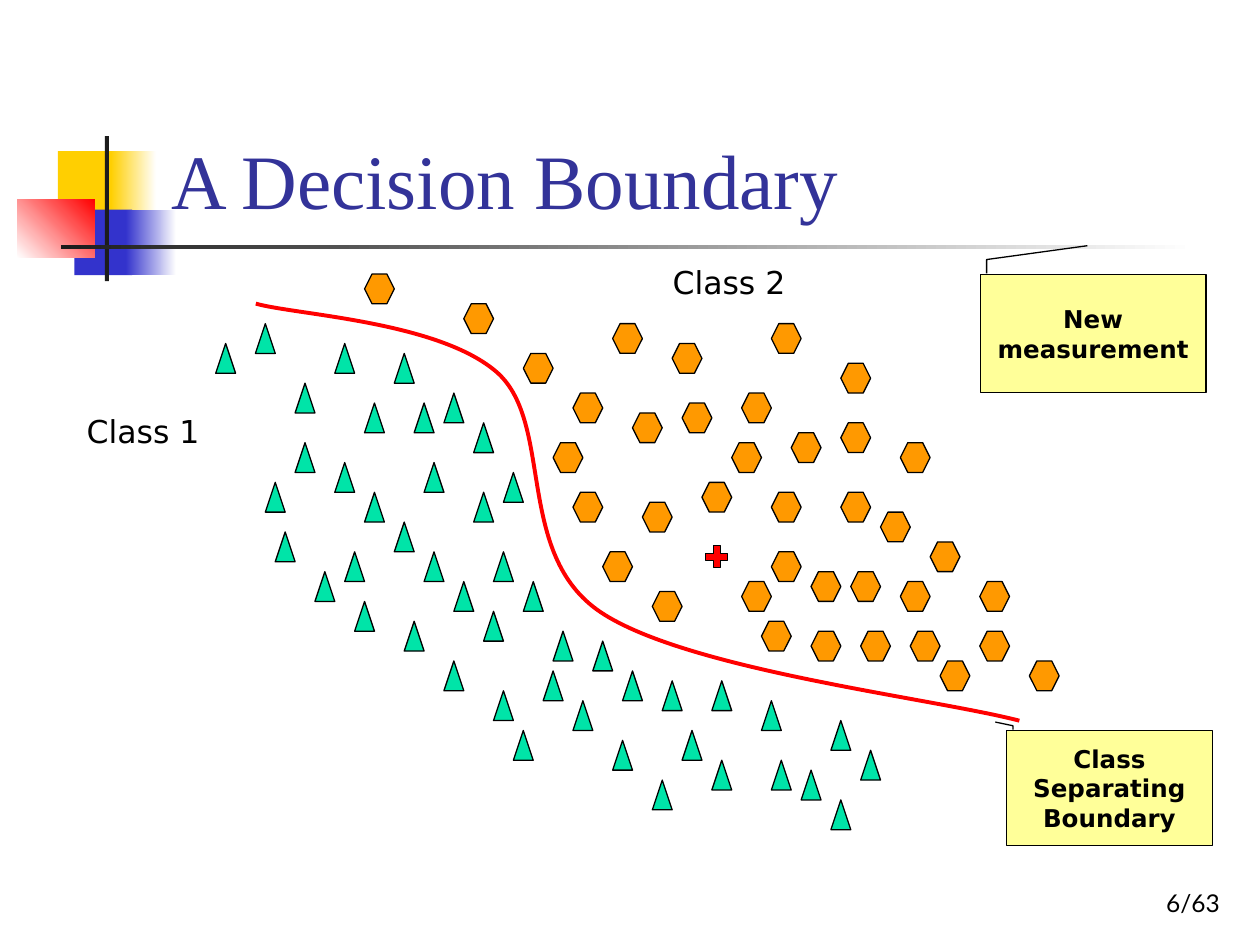
from dataclasses import dataclass

from lxml import etree
from pptx import Presentation
from pptx import util as u
from pptx.dml.color import RGBColor
from pptx.enum import shapes, text
from pptx.oxml import ns

Kind = shapes.MSO_SHAPE
Pt = u.Pt


@dataclass(frozen=True)
class Theme:
    ink: str = "000000"
    white: str = "FFFFFF"
    dark: str = "1C1C1C"
    gold: str = "FFCF01"
    blue: str = "3333CC"
    red: str = "FF0000"
    title: str = "333399"
    green: str = "00E4A8"
    amber: str = "FF9900"
    note: str = "FFFF99"
    serif: str = "Times New Roman"
    sans: str = "DejaVu Sans"
    foot: str = "Lato"
    big: int = 44
    mid: int = 18
    small: int = 14
    thin: float = 0.75
    bold: float = 2.25


T = Theme()

# Marks sit on a fine grid: left, top and step in points
LEFT, TOP, STEP = 123.3, 156.6, 5.67

# Column and row of each mark
CLASS1 = [
    (0, 7), (4, 5), (8, 11), (8, 17), (12, 19), (15, 22), (18, 25), (21, 28),
    (24, 31), (27, 34), (34, 36), (33, 40), (36, 43), (40, 47), (12, 7),
    (15, 13), (29, 20), (21, 19), (26, 22), (38, 37), (41, 40), (45, 41),
    (47, 46), (50, 49), (50, 41), (55, 43), (56, 49), (59, 50), (62, 53),
    (19, 35), (23, 39), (28, 42), (30, 46), (44, 51), (5, 21), (6, 26),
    (13, 28), (10, 30), (14, 33), (62, 45), (65, 48), (23, 12), (26, 15),
    (18, 8), (20, 13), (28, 28), (31, 31),
]
CLASS2 = [
    (15, 0), (25, 3), (31, 8), (36, 12), (42, 14), (49, 21), (52, 17),
    (56, 28), (53, 31), (60, 30), (65, 36), (43, 23), (34, 17), (55, 35),
    (40, 5), (46, 7), (47, 13), (64, 30), (69, 31), (70, 36), (73, 39),
    (72, 27), (77, 31), (77, 36), (82, 39), (53, 12), (58, 16), (63, 22),
    (67, 24), (56, 5), (63, 9), (63, 15), (69, 17), (44, 32), (39, 28),
    (36, 22), (56, 22), (60, 36),
]
NEW = [(49, 27)]

# Start point, then two handles and an end for each bend
CURVE = [
    (146.2, 173.5), (169.2, 180), (251.3, 183.6), (284.4, 213.1),
    (316.8, 242.6), (293.8, 316.8), (343.4, 349.9), (393.1, 383),
    (532.8, 398.9), (582.5, 411.8),
]


def color(code):
    return RGBColor.from_string(code)


def shape(slide, kind, box, fill, line=None):
    item = slide.shapes.add_shape(kind, *map(Pt, box))
    item.shadow.inherit = False
    item.fill.solid()
    item.fill.fore_color.rgb = color(fill)
    if line:
        item.line.color.rgb = color(line)
        item.line.width = Pt(T.thin)
    else:
        item.line.fill.background()
    return item


def fade(slide, box, start, end, angle=0):
    item = shape(slide, Kind.RECTANGLE, box, start)
    item.fill.gradient()
    item.fill.gradient_angle = angle
    for stop, code in zip(item.fill.gradient_stops, (start, end)):
        stop.color.rgb = color(code)


def write(item, words, font, size, code=T.ink, bold=False,
          align=text.PP_ALIGN.LEFT, anchor=text.MSO_ANCHOR.TOP):
    frame = item.text_frame
    frame.text = words
    frame.word_wrap = True
    frame.vertical_anchor = anchor
    for para in frame.paragraphs:
        para.alignment = align
        for run in para.runs:
            run.font.name = font
            run.font.size = Pt(size)
            run.font.bold = bold
            run.font.color.rgb = color(code)


def label(slide, box, *args, **style):
    write(slide.shapes.add_textbox(*map(Pt, box)), *args, **style)


def marks(slide, kind, cells, wide, code):
    for col, row in cells:
        box = (LEFT + col * STEP, TOP + row * STEP, wide * STEP, 3 * STEP)
        shape(slide, kind, box, code, T.ink)


def curve(slide, points):
    spots = [(Pt(x), Pt(y)) for x, y in points]
    pen = slide.shapes.build_freeform(*spots[0])
    pen.add_line_segments(spots[1:], close=False)
    item = pen.convert_to_shape()
    item.shadow.inherit = False
    item.fill.background()
    item.line.color.rgb = color(T.red)
    item.line.width = Pt(T.bold)
    # Join each three line steps into one bend
    track = item.element.find(".//" + ns.qn("a:path"))
    steps = track.findall(ns.qn("a:lnTo"))
    for i in range(0, len(steps), 3):
        bend = etree.SubElement(track, ns.qn("a:cubicBezTo"))
        for step in steps[i:i + 3]:
            bend.append(step[0])
            track.remove(step)


def note(slide, box, lead, words):
    """Callout whose leader runs through the points in lead."""
    x, y, w, h = box
    item = shape(slide, Kind.LINE_CALLOUT_2, box, T.note, T.ink)
    for i, (px, py) in enumerate(lead):
        item.adjustments[2 * i] = (py - y) / h
        item.adjustments[2 * i + 1] = (px - x) / w
    write(item, words, T.sans, T.small, bold=True,
          align=text.PP_ALIGN.CENTER, anchor=text.MSO_ANCHOR.MIDDLE)


def decor(slide):
    shape(slide, Kind.RECTANGLE, (33.1, 86.4, 34.6, 37.4), T.gold)
    fade(slide, (63.4, 86.4, 25.9, 37.4), T.gold, T.white)
    shape(slide, Kind.RECTANGLE, (42.5, 119.8, 33.1, 37.4), T.blue)
    fade(slide, (72, 119.8, 28.8, 37.4), T.blue, T.white)
    fade(slide, (9.8, 113.8, 44.3, 33.4), T.white, T.red, 45)
    shape(slide, Kind.RECTANGLE, (59.9, 77.8, 2.4, 82.8), T.dark)
    fade(slide, (34.9, 140.1, 648, 2.5), T.dark, T.white)


def main():
    deck = Presentation()
    deck.slide_width, deck.slide_height = Pt(720), Pt(540)
    slide = deck.slides.add_slide(deck.slide_layouts[6])

    # Frame: ornament, page number and title
    decor(slide)
    label(slide, (554.4, 491.8, 149.8, 36), "6/63", T.foot, T.small,
          align=text.PP_ALIGN.RIGHT, anchor=text.MSO_ANCHOR.BOTTOM)
    label(slide, (90.7, 16.6, 613.4, 115.2), "A Decision Boundary",
          T.serif, T.big, T.title, anchor=text.MSO_ANCHOR.BOTTOM)

    # Boundary and the two classes
    curve(slide, CURVE)
    marks(slide, Kind.ISOSCELES_TRIANGLE, CLASS1, 2, T.green)
    marks(slide, Kind.HEXAGON, CLASS2, 3, T.amber)

    # Labels, new point and callouts
    note(slide, (575.3, 417.6, 117.4, 65.5),
         [(578.9, 416.9), (578.9, 414.7), (568.8, 412.6)],
         "Class Separating\nBoundary")
    label(slide, (42.5, 231.8, 79.2, 28.8), "Class 1", T.sans, T.mid)
    label(slide, (377.3, 146.5, 79.2, 28.8), "Class 2", T.sans, T.mid)
    marks(slide, Kind.MATH_PLUS, NEW, 3, T.red)
    note(slide, (560.2, 156.8, 128.9, 67.7),
         [(563.8, 156.2), (563.8, 148.3), (621.4, 140.4)],
         "New measurement")

    deck.save("out.pptx")


if __name__ == "__main__":
    main()
